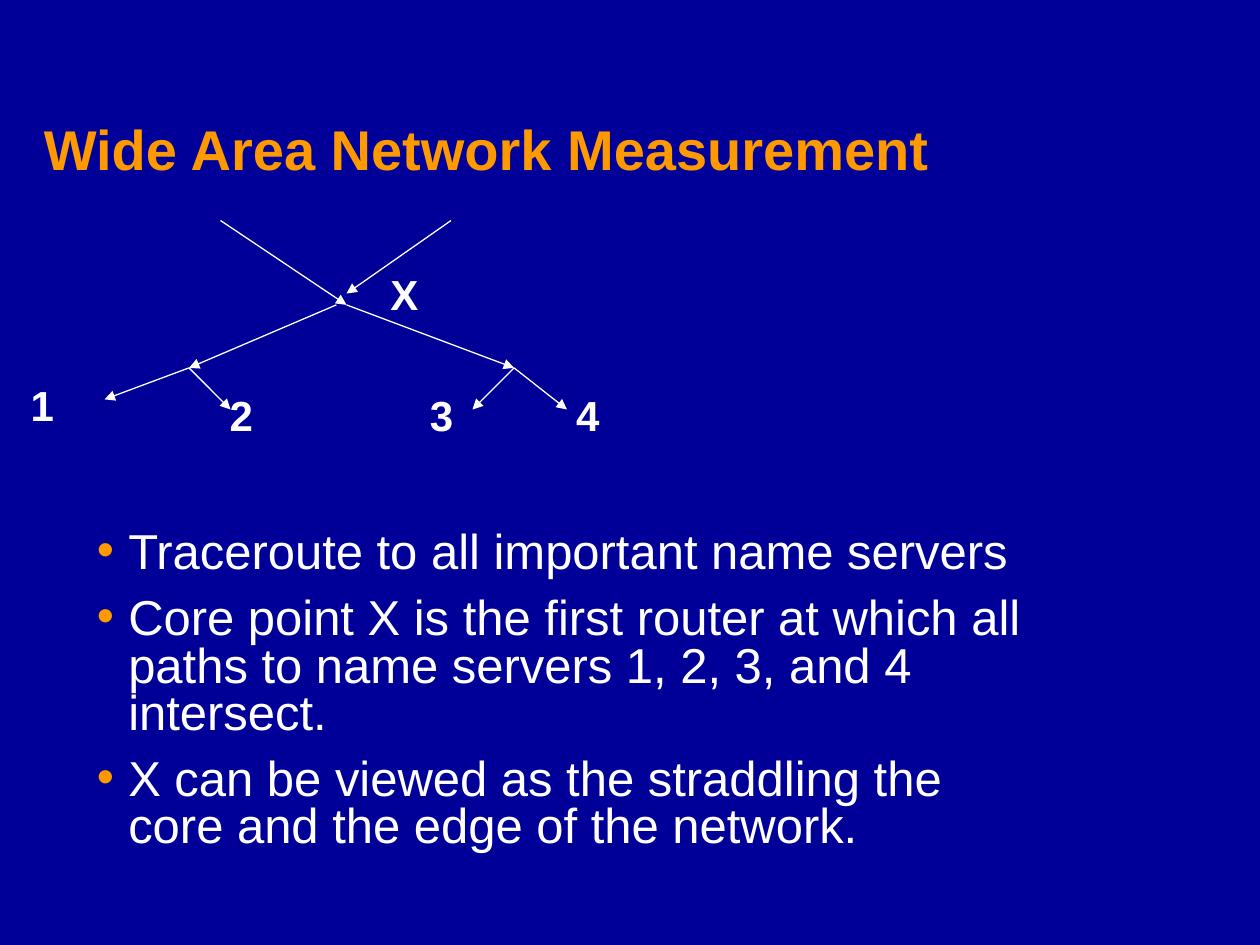
from lxml.etree import SubElement
from pptx import Presentation
from pptx.dml.color import RGBColor
from pptx.enum.shapes import MSO_CONNECTOR
from pptx.enum.text import MSO_ANCHOR, MSO_AUTO_SIZE, PP_ALIGN
from pptx.oxml.ns import qn
from pptx.util import Inches, Pt

NAVY, ORANGE, WHITE = "000099", "FF9900", "FFFFFF"
FONT = "Arial"
BULLETS = [
    "Traceroute to all important name servers",
    "Core point X is the first router at which all paths to name servers 1, 2, 3, and 4 intersect.",
    "X can be viewed as the straddling the core and the edge of the network.",
]


def color(value):
    return RGBColor.from_string(value)


def add_run(paragraph, text, size, text_color, bold=False):
    run = paragraph.add_run()
    run.text = text
    run.font.name = FONT
    run.font.size = Pt(size)
    run.font.bold = bold
    run.font.color.rgb = color(text_color)


def add_text_frame(slide, left, top, width, height, wrap=True):
    box = slide.shapes.add_textbox(Inches(left), Inches(top), Inches(width), Inches(height))
    box.text_frame.word_wrap = wrap
    return box.text_frame


def add_title(slide, left, top, width, height):
    frame = add_text_frame(slide, left, top, width, height)
    frame.vertical_anchor = MSO_ANCHOR.BOTTOM
    paragraph = frame.paragraphs[0]
    paragraph.line_spacing = 0.9
    add_run(paragraph, "Wide Area Network Measurement", 32, ORANGE, bold=True)


def set_bullet(paragraph):
    properties = paragraph._p.get_or_add_pPr()
    properties.set("marL", str(Inches(0.25)))
    properties.set("indent", str(-Inches(0.25)))
    bullet_color = SubElement(properties, qn("a:buClr"))
    SubElement(bullet_color, qn("a:srgbClr"), val=ORANGE)
    SubElement(properties, qn("a:buFont"), typeface=FONT)
    SubElement(properties, qn("a:buChar"), char="•")


def add_bullets(slide, left, top, width, height):
    frame = add_text_frame(slide, left, top, width, height)
    for index, text in enumerate(BULLETS):
        paragraph = frame.add_paragraph() if index else frame.paragraphs[0]
        set_bullet(paragraph)
        paragraph.line_spacing = 0.8
        if index:
            paragraph.space_before = Pt(11.2)
        add_run(paragraph, text, 28, WHITE)


def add_arrow(slide, start, end):
    points = [Inches(value) for value in (*start, *end)]
    arrow = slide.shapes.add_connector(MSO_CONNECTOR.STRAIGHT, *points)
    arrow.line.color.rgb = color(WHITE)
    arrow.line.width = Pt(0.75)
    SubElement(arrow.line._get_or_add_ln(), qn("a:tailEnd"), type="triangle")
    SubElement(arrow._element.spPr, qn("a:effectLst"))


def add_node_label(slide, text, left, top, width):
    frame = add_text_frame(slide, left, top, width, 0.5, wrap=False)
    frame.auto_size = MSO_AUTO_SIZE.SHAPE_TO_FIT_TEXT
    paragraph = frame.paragraphs[0]
    paragraph.alignment = PP_ALIGN.CENTER
    add_run(paragraph, text, 24, WHITE, bold=True)


def add_route_tree(slide, left, top):
    """Draw two sources meeting at X and fanning out to four name servers."""
    core, left_router, right_router = (2.61, 0.67), (1.36, 1.17), (3.94, 1.17)
    routes = [
        ((1.61, 0), core),
        (core, right_router),
        (right_router, (3.61, 1.5)),
        (right_router, (4.36, 1.5)),
        ((3.44, 0), (2.61, 0.58)),
        ((2.53, 0.67), left_router),
        (left_router, (0.69, 1.42)),
        (left_router, (1.69, 1.5)),
    ]
    for route in routes:
        add_arrow(slide, *[(left + x, top + y) for x, y in route])

    labels = [
        ("X", 2.86, 0.33, 0.42),
        ("1", 0, 1.21, 0.39),
        ("2", 1.58, 1.29, 0.39),
        ("3", 3.17, 1.29, 0.39),
        ("4", 4.33, 1.29, 0.39),
    ]
    for text, x, y, width in labels:
        add_node_label(slide, text, left + x, top + y, width)


def main():
    presentation = Presentation()
    presentation.slide_width = Inches(10)
    presentation.slide_height = Inches(7.5)
    slide = presentation.slides.add_slide(presentation.slide_layouts[6])
    slide.background.fill.solid()
    slide.background.fill.fore_color.rgb = color(NAVY)

    add_title(slide, 0.25, 0.25, 7.83, 1.25)
    add_bullets(slide, 0.67, 4.17, 7.67, 2.25)
    add_route_tree(slide, 0.14, 1.75)
    presentation.save("out.pptx")


if __name__ == "__main__":
    main()
